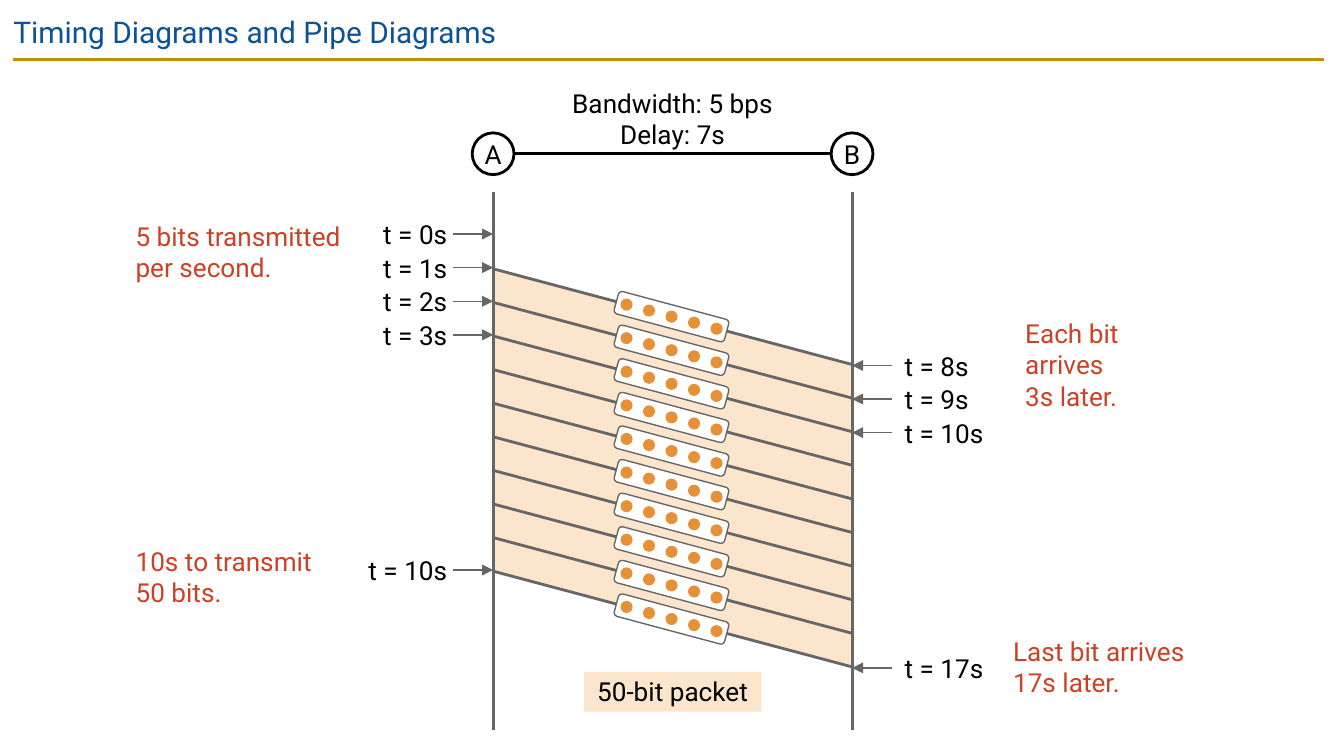
import pptx
import pptx.dml.color
import pptx.enum.shapes
import pptx.enum.text
import pptx.oxml.ns
import pptx.util
from lxml import etree

Pt = pptx.util.Pt
Kind = pptx.enum.shapes.MSO_SHAPE
Align = pptx.enum.text.PP_ALIGN
Anchor = pptx.enum.text.MSO_ANCHOR
qn = pptx.oxml.ns.qn

INK = {
    "title": "0B5394", "gold": "BF9000", "black": "000000", "white": "FFFFFF",
    "gray": "666666", "note": "CC4125", "band": "FCE5CD", "bit": "E69138",
}
FONT = "Roboto"
STEP = 18    # one second down the page
DROP = 51.3  # fall of a bit between the hosts
COUNT = 10


def hue(name):
    return pptx.dml.color.RGBColor.from_string(INK[name])


def write(shape, text, ink="black", align=Align.LEFT, size=14,
          inset=2, anchor=Anchor.TOP):
    frame = shape.text_frame
    frame.word_wrap = True
    frame.auto_size = pptx.enum.text.MSO_AUTO_SIZE.NONE
    frame.vertical_anchor = anchor
    frame.margin_left = frame.margin_right = Pt(inset)
    frame.margin_top = frame.margin_bottom = Pt(inset)
    frame.text = text
    for para in frame.paragraphs:
        para.alignment = align
        for run in para.runs:
            run.font.name = FONT
            run.font.size = Pt(size)
            run.font.color.rgb = hue(ink)


def label(shapes, box, text, **style):
    write(shapes.add_textbox(*map(Pt, box)), text, **style)


def paint(shape, fill, line=None, width=1.5):
    shape.shadow.inherit = False
    shape.fill.solid()
    shape.fill.fore_color.rgb = hue(fill)
    if line:
        shape.line.color.rgb = hue(line)
        shape.line.width = Pt(width)
    else:
        shape.line.fill.background()


def draw(shapes, kind, box, fill, line=None, width=1.5):
    shape = shapes.add_shape(kind, *map(Pt, box))
    paint(shape, fill, line, width)
    return shape


def rule(shapes, start, end, ink="gray", width=1.5, arrow=False):
    line = shapes.add_connector(pptx.enum.shapes.MSO_CONNECTOR.STRAIGHT,
                                *map(Pt, (*start, *end)))
    line.line.color.rgb = hue(ink)
    line.line.width = Pt(width)
    if arrow:
        etree.SubElement(line.line._get_or_add_ln(), qn("a:tailEnd"),
                         type="triangle")
    etree.SubElement(line._element.spPr, qn("a:effectLst"))


def heading(slide, box, text):
    x, y, w, h = box
    title = slide.shapes.title
    title.left, title.top, title.width, title.height = map(Pt, box)
    write(title, text, "title", size=16, inset=7.2)
    rule(slide.shapes, (x + 7.2, y + h + 0.7), (x + w - 10.8, y + h + 0.7), "gold")


def link(shapes, box):
    """Two hosts joined by a wire, with its figures above."""
    x, y, w, h = box
    wire = y + h
    size = 22.4
    rule(shapes, (x + size / 2, wire), (x + w - size / 2, wire), "black")
    for name, mid in (("A", x), ("B", x + w)):
        host = draw(shapes, Kind.OVAL, (mid - size / 2, wire - size / 2, size, size),
                    "white", "black")
        write(host, name, align=Align.CENTER, inset=0, anchor=Anchor.MIDDLE)
    label(shapes, box, "Bandwidth: 5 bps\nDelay: 7s", align=Align.CENTER)


def chip(shapes, x, y):
    """A tilted tray of five bits centred on a point."""
    group = shapes.add_group_shape().shapes
    w, h, dot = 61.2, 12.4, 6.5
    tray = draw(group, Kind.ROUNDED_RECTANGLE, (x - w / 2, y - h / 2, w, h),
                "white", "gray", 0.75)
    tray.rotation = 15
    for place in range(-2, 3):
        draw(group, Kind.OVAL, (x + 12.06 * place - dot / 2,
                                y + 3.24 * place - dot / 2, dot, dot), "bit")


def pipe(shapes, box):
    """The packet falling between two time axes."""
    x, y, w, h = box
    right = x + w
    top = y + 41
    base = top + (COUNT - 1) * STEP
    pen = shapes.build_freeform(Pt(x), Pt(top))
    pen.add_line_segments([(Pt(x), Pt(base)), (Pt(right), Pt(base + DROP)),
                           (Pt(right), Pt(top + DROP))])
    paint(pen.convert_to_shape(), "band")
    tops = [top + STEP * row for row in range(COUNT)]
    for row in tops:
        rule(shapes, (x, row), (right, row + DROP))
    for axis in (x, right):
        rule(shapes, (axis, y), (axis, y + h))
    for row in tops:
        chip(shapes, x + w / 2 - 0.6, row + DROP / 2)
    tag = draw(shapes, Kind.RECTANGLE, (x + w / 2 - 47.5, y + 257, 95, 21.3), "band")
    write(tag, "50-bit packet", align=Align.CENTER)


def ticks(shapes, x, y, times, side):
    """Arrows onto an axis; side is -1 for left, 1 for right, y is t = 0."""
    wide = 52
    for time in times:
        row = y + STEP * time
        rule(shapes, (x + 21.6 * side, row), (x, row), width=0.75, arrow=True)
        if side < 0:
            left, align = x - 24.5 - wide, Align.RIGHT
        else:
            left, align = x + 28.1, Align.LEFT
        label(shapes, (left, row - 8.3, wide, 17.3), f"t = {time}s",
              align=align, inset=0)


def notes(shapes, items):
    for box, text in items:
        label(shapes, box, text, ink="note")


def main():
    deck = pptx.Presentation()
    deck.slide_width, deck.slide_height = Pt(720), Pt(405)
    slide = deck.slides.add_slide(deck.slide_layouts[5])
    shapes = slide.shapes
    x, w = 264.2, 192.3
    heading(slide, (0, 0, 720, 31), "Timing Diagrams and Pipe Diagrams")
    pipe(shapes, (x, 103, w, 288))
    link(shapes, (x, 44.6, w, 37.8))
    ticks(shapes, x, 125.4, (0, 1, 2, 3, 10), -1)
    ticks(shapes, x + w, 51.8, (8, 9, 10, 17), 1)
    notes(shapes, (
        ((70.6, 116, 119.5, 38), "5 bits transmitted per second."),
        ((70.6, 290, 109.5, 38), "10s to transmit 50 bits."),
        ((547.2, 168, 95, 55), "Each bit arrives\v3s later."),
        ((540.7, 338.4, 104.4, 38), "Last bit arrives 17s later."),
    ))
    deck.save("out.pptx")


if __name__ == "__main__":
    main()
